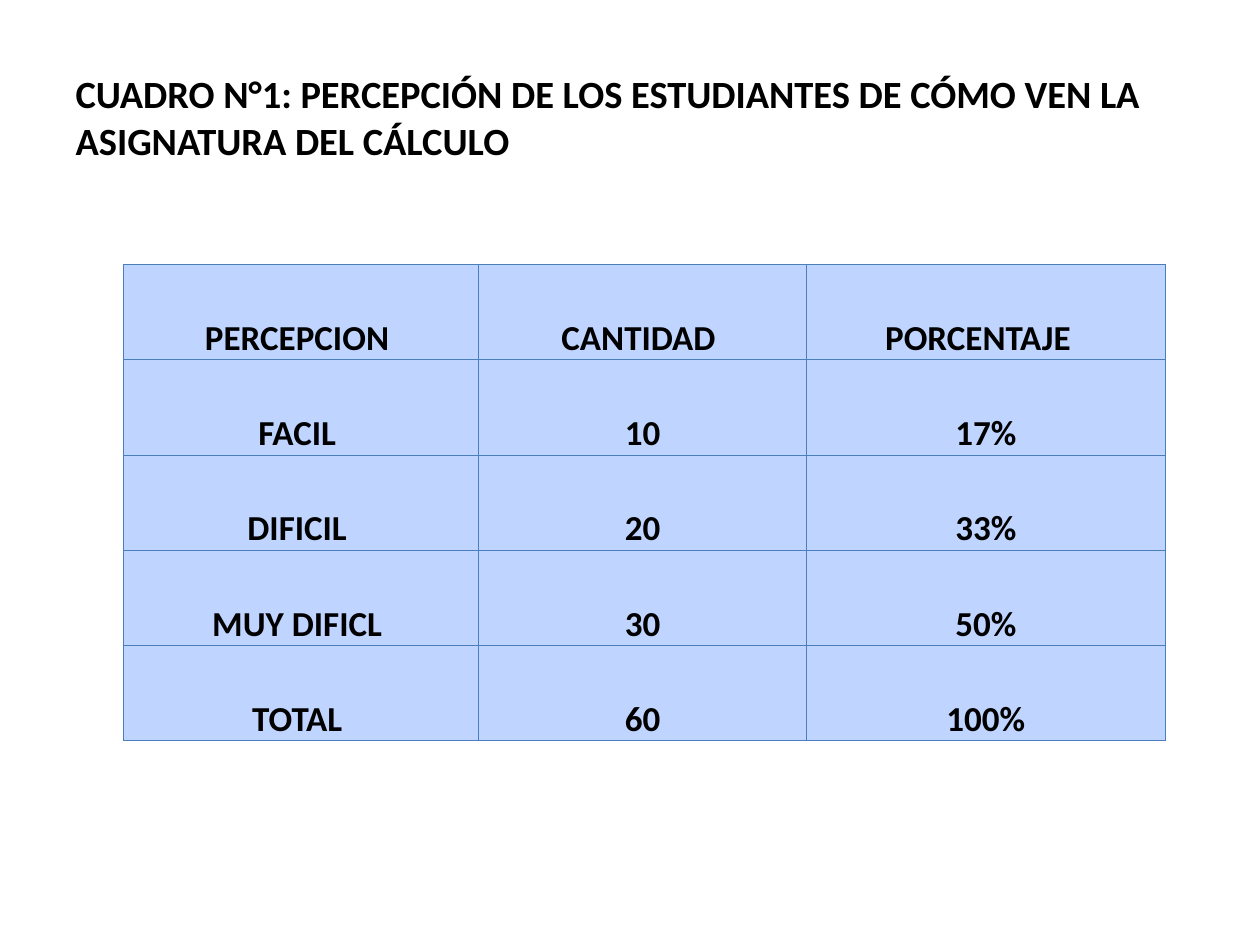
"""Build a slide with a table of how students perceive the calculus course."""
from lxml.etree import SubElement
from pptx import Presentation
from pptx.dml.color import RGBColor
from pptx.enum.text import MSO_ANCHOR, PP_ALIGN
from pptx.oxml.ns import qn
from pptx.util import Inches, Pt


def style_font(font, size, color):
    font.name = "Calibri"
    font.size = Pt(size)
    font.bold = True
    font.color.rgb = RGBColor.from_string(color)


def add_borders(cell, color, width):
    properties = cell._tc.get_or_add_tcPr()
    for side in ("lnL", "lnR", "lnT", "lnB"):
        line = SubElement(properties, qn(f"a:{side}"), w=str(Pt(width)))
        fill = SubElement(line, qn("a:solidFill"))
        SubElement(fill, qn("a:srgbClr"), val=color)


deck = Presentation()
deck.slide_width, deck.slide_height = Inches(10), Inches(7.5)
page = deck.slides.add_slide(deck.slide_layouts[5])

title = page.shapes.title
title.left, title.top = Inches(0.5), Inches(0.3)
title.width, title.height = Inches(9), Inches(1.25)
title.text_frame.text = "CUADRO N°1: PERCEPCIÓN DE LOS ESTUDIANTES DE CÓMO VEN LA ASIGNATURA DEL CÁLCULO"
title.text_frame.word_wrap = True
title.text_frame.vertical_anchor = MSO_ANCHOR.MIDDLE
heading = title.text_frame.paragraphs[0]
heading.alignment = PP_ALIGN.LEFT
style_font(heading.font, 22, "000000")

rows = [
    ("PERCEPCION ", "CANTIDAD ", "PORCENTAJE  "),
    ("FACIL ", "10", "17%"),
    ("DIFICIL ", "20", "33%"),
    ("MUY DIFICL ", "30", "50%"),
    ("TOTAL ", "60", "100%"),
]
column_widths = [2.82, 2.6, 2.85]
frame = page.shapes.add_table(
    len(rows), len(column_widths), Inches(0.98), Inches(2.1), Inches(8.27), Inches(3.78)
)
table = frame.table
for column, width in zip(table.columns, column_widths):
    column.width = Inches(width)

for row, texts in zip(table.rows, rows):
    for cell, text in zip(row.cells, texts):
        cell.text = text
        cell.vertical_anchor = MSO_ANCHOR.BOTTOM
        cell.margin_left = cell.margin_right = cell.margin_top = cell.margin_bottom = 0
        add_borders(cell, "4B7EBC", 0.75)
        cell.fill.solid()
        cell.fill.fore_color.rgb = RGBColor.from_string("BFD4FF")
        para = cell.text_frame.paragraphs[0]
        para.alignment = PP_ALIGN.CENTER
        style_font(para.font, 20, "000000")

deck.save("out.pptx")
